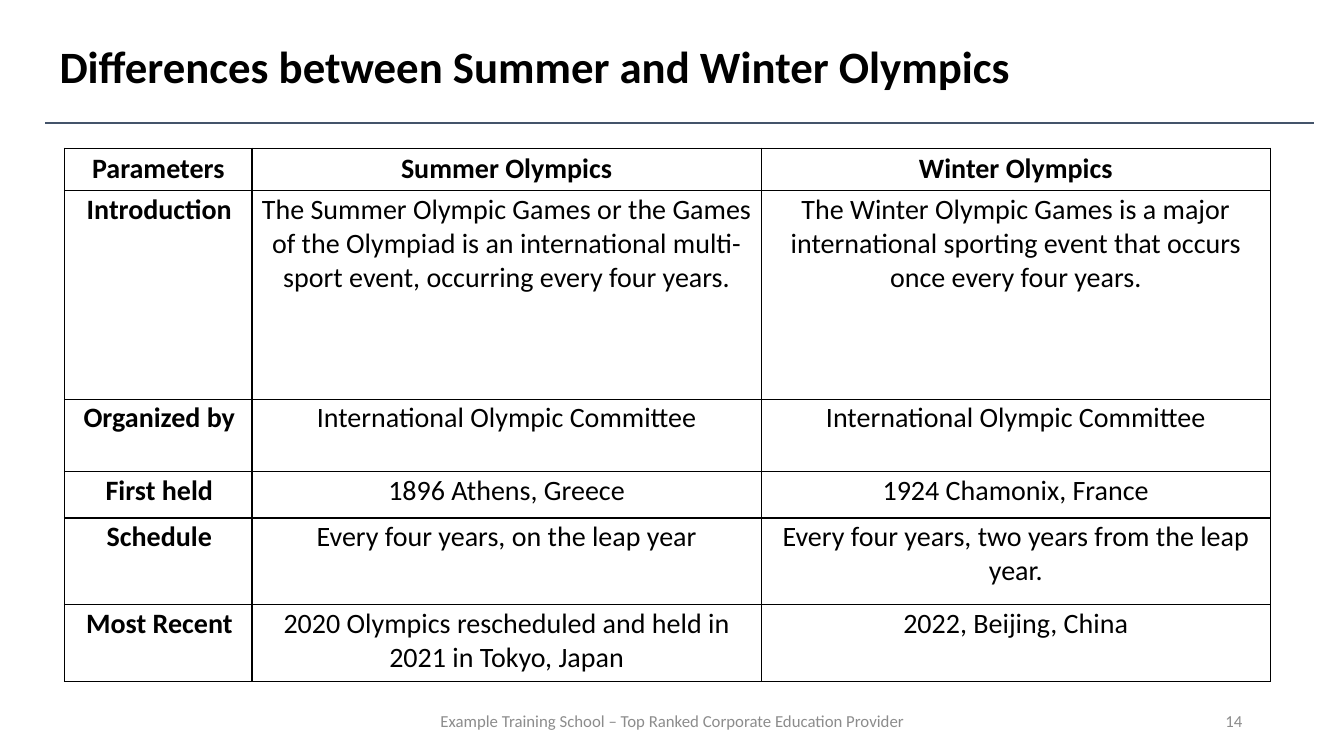
"""Build the slide comparing the Summer and Winter Olympics."""
from dataclasses import dataclass

from lxml.etree import SubElement as Sub
from pptx import Presentation
from pptx.dml.color import RGBColor as RGB
from pptx.enum.shapes import MSO_CONNECTOR as Link
from pptx.enum.text import MSO_ANCHOR as Anchor, PP_ALIGN as Align
from pptx.oxml.ns import qn
from pptx.util import Inches, Pt


@dataclass
class Theme:
    font: str = "Calibri"
    ink: str = "000000"
    gray: str = "8C8C8C"
    rule: str = "44546A"
    paper: str = "FFFFFF"
    title: int = 32
    body: int = 20
    foot: int = 12


theme = Theme()


def style(para, size, color, align, bold=False):
    para.alignment = align
    for run in para.runs:
        font = run.font
        font.name, font.size, font.bold = theme.font, Pt(size), bold
        font.color.rgb = RGB.from_string(color)


def border(cell):
    props = cell._tc.get_or_add_tcPr()
    for side in ("lnL", "lnR", "lnT", "lnB"):
        edge = Sub(props, qn(f"a:{side}"), w=str(Pt(1)))
        fill = Sub(edge, qn("a:solidFill"))
        Sub(fill, qn("a:srgbClr"), val=theme.ink)


deck = Presentation()
deck.slide_width, deck.slide_height = Inches(13.33), Inches(7.5)
slide = deck.slides.add_slide(deck.slide_layouts[5])
shapes = slide.shapes

title = shapes.title
title.left, title.top = Inches(0.49), Inches(0.15)
title.width, title.height = Inches(11.32), Inches(1.07)
frame = title.text_frame
frame.text = "Differences between Summer and Winter Olympics"
frame.vertical_anchor = Anchor.MIDDLE
frame.paragraphs[0].line_spacing = 0.9
style(frame.paragraphs[0], theme.title, theme.ink, Align.LEFT, True)

rule = shapes.add_connector(Link.STRAIGHT, Inches(0.45), Inches(1.22), Inches(13.03), Inches(1.22))
rule.line.color.rgb = RGB.from_string(theme.rule)
rule.line.width = Pt(2)
Sub(rule._element.spPr, qn("a:effectLst"))

feet = [
    ("Example Training School – Top Ranked Corporate Education Provider", 4.26, 4.82, Align.CENTER),
    ("14", 9.42, 3, Align.RIGHT),
]
for text, left, width, align in feet:
    box = shapes.add_textbox(Inches(left), Inches(6.95), Inches(width), Inches(0.4))
    frame = box.text_frame
    frame.word_wrap = True
    frame.vertical_anchor = Anchor.MIDDLE
    frame.text = text
    style(frame.paragraphs[0], theme.foot, theme.gray, align)

rows = [
    (0.42, "Parameters", "Summer Olympics", "Winter Olympics"),
    (2.07, "Introduction",
     "The Summer Olympic Games or the Games of the Olympiad is an international "
     "multi-sport event, occurring every four years.",
     "The Winter Olympic Games is a major international sporting event that occurs "
     "once every four years."),
    (0.72, "Organized by", "International Olympic Committee", "International Olympic Committee"),
    (0.46, "First held", "1896 Athens, Greece", "1924 Chamonix, France"),
    (0.86, "Schedule", "Every four years, on the leap year",
     "Every four years, two years from the leap year."),
    (0.76, "Most Recent", "2020 Olympics rescheduled and held in 2021 in Tokyo, Japan",
     "2022, Beijing, China"),
]
widths = [1.86, 5.05, 5.05]
grid = shapes.add_table(len(rows), len(widths), Inches(0.64), Inches(1.47),
                        Inches(sum(widths)), Inches(5.28)).table
for col, width in zip(grid.columns, widths):
    col.width = Inches(width)
for r, (height, *texts) in enumerate(rows):
    grid.rows[r].height = Inches(height)
    for c, text in enumerate(texts):
        cell = grid.cell(r, c)
        head = r == 0
        cell.margin_left = Inches(0.03 if head else 0.04)
        cell.margin_right = Inches(0.03 if head else 0.04 if c else 0.02)
        cell.margin_top = Inches(0.04 if head else 0.02)
        cell.margin_bottom = Inches(0.02)
        border(cell)
        cell.fill.solid()
        cell.fill.fore_color.rgb = RGB.from_string(theme.paper)
        cell.text_frame.text = text
        style(cell.text_frame.paragraphs[0], theme.body, theme.ink, Align.CENTER, head or c == 0)

deck.save("out.pptx")
